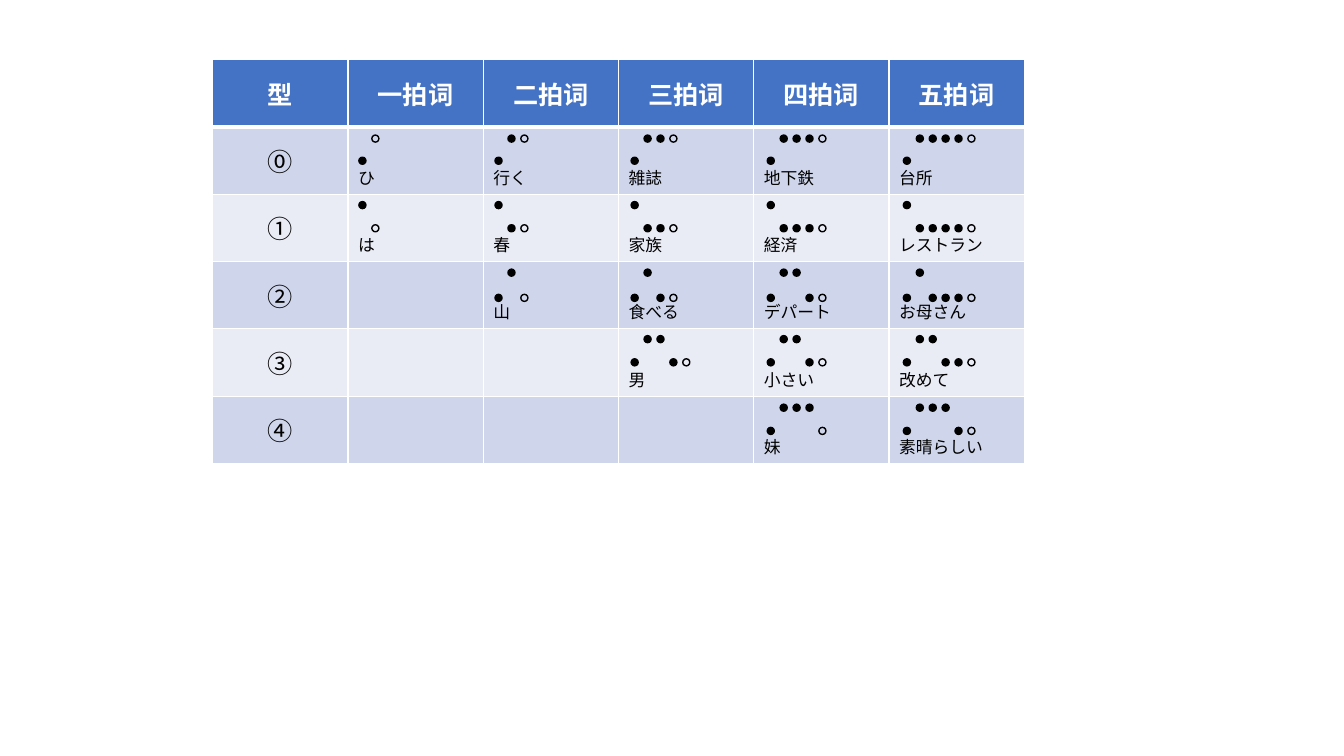
from lxml.etree import SubElement
from pptx import Presentation
from pptx.dml.color import RGBColor
from pptx.enum.shapes import MSO_SHAPE as Shape
from pptx.enum.text import MSO_ANCHOR as Anchor, PP_ALIGN as Align
from pptx.oxml import parse_xml
from pptx.oxml.ns import nsdecls, qn
from pptx.util import Inches, Pt

COLORS = {
    "header": "4472C4",
    "odd": "CFD5EA",
    "even": "E9EBF5",
    "white": "FFFFFF",
    "black": "000000",
}
FONT = "Noto Sans CJK SC"

TABLE_LEFT, TABLE_TOP = 2.11, 0.59
TABLE_WIDTH, TABLE_HEIGHT = 8.05, 4.01
DOT_LEFT, DOT_COLUMN_STEP = 3.56, 1.35
DOT_SIZE, DOT_STEP = 0.07, 0.64 / 5
DOT_LEVELS = [
    {"H": 1.34, "L": 1.56},
    {"H": 2.00, "L": 2.23},
    {"H": 2.67, "L": 2.92},
    {"H": 3.33, "L": 3.56},
    {"H": 4.01, "L": 4.24},
]

HEADERS = ["型", "一拍词", "二拍词", "三拍词", "四拍词", "五拍词"]
ACCENTS = [
    ("⓪", [("ひ", "LH"), ("行く", "LHH"), ("雑誌", "LHHH"),
           ("地下鉄", "LHHHH"), ("台所", "LHHHHH")]),
    ("①", [("は", "HL"), ("春", "HLL"), ("家族", "HLLL"),
           ("経済", "HLLLL"), ("レストラン", "HLLLLL")]),
    ("②", [("", ""), ("山", "LHL"), ("食べる", "LHLL"),
           ("デパート", "LHHLL"), ("お母さん", "LHLLLL")]),
    ("③", [("", ""), ("", ""), ("男", "LHHLL"),
           ("小さい", "LHHLL"), ("改めて", "LHHLLL")]),
    ("④", [("", ""), ("", ""), ("", ""),
           ("妹", "LHHHL"), ("素晴らしい", "LHHHLL")]),
]


def color(name):
    return RGBColor.from_string(COLORS[name])


def write_text(cell, text, size=12, fill="black", bold=False,
               align=Align.LEFT, anchor=Anchor.BOTTOM):
    cell.vertical_anchor = anchor
    paragraph = cell.text_frame.paragraphs[0]
    paragraph.alignment = align
    run = paragraph.add_run()
    run.text = text
    run.font.size = Pt(size)
    run.font.bold = bold
    run.font.color.rgb = color(fill)
    run.font.name = FONT
    SubElement(run._r.get_or_add_rPr(), qn("a:ea"), typeface=FONT)


def paint_cell(cell, fill, top=1, bottom=1):
    cell.fill.solid()
    cell.fill.fore_color.rgb = color(fill)
    properties = cell._tc.get_or_add_tcPr()
    widths = {"lnL": 1, "lnR": 1, "lnT": top, "lnB": bottom}
    for index, (side, width) in enumerate(widths.items()):
        properties.insert(index, parse_xml(
            f'<a:{side} {nsdecls("a")} w="{Pt(width)}"><a:solidFill>'
            f'<a:srgbClr val="{COLORS["white"]}"/></a:solidFill></a:{side}>'))


def add_accent_table(slide):
    frame = slide.shapes.add_table(
        len(ACCENTS) + 1, len(HEADERS), Inches(TABLE_LEFT), Inches(TABLE_TOP),
        Inches(TABLE_WIDTH), Inches(TABLE_HEIGHT))
    table = frame.table
    table.horz_banding = False
    label = {"size": 18, "align": Align.CENTER, "anchor": Anchor.MIDDLE}
    for column, header in enumerate(HEADERS):
        cell = table.cell(0, column)
        paint_cell(cell, "header", bottom=3)
        write_text(cell, header, fill="white", bold=True, **label)
    for row, (accent, words) in enumerate(ACCENTS, start=1):
        for column in range(len(HEADERS)):
            paint_cell(table.cell(row, column), "odd" if row % 2 else "even",
                       top=3 if row == 1 else 1)
        write_text(table.cell(row, 0), accent, **label)
        for column, (word, pitches) in enumerate(words, start=1):
            if word:
                write_text(table.cell(row, column), word)


def add_dot(group, left, top, filled):
    dot = group.shapes.add_shape(Shape.OVAL, Inches(left), Inches(top),
                                 Inches(DOT_SIZE), Inches(DOT_SIZE))
    dot.shadow.inherit = False
    dot.line.color.rgb = color("black")
    dot.line.width = Pt(1)
    if filled:
        dot.fill.solid()
        dot.fill.fore_color.rgb = color("black")
    else:
        dot.fill.background()


def add_pitch_dots(slide, column, levels, pitches):
    group = slide.shapes.add_group_shape()
    left = DOT_LEFT + column * DOT_COLUMN_STEP
    for index, pitch in enumerate(pitches):
        add_dot(group, left + index * DOT_STEP, levels[pitch],
                filled=index < len(pitches) - 1)


def main():
    presentation = Presentation()
    presentation.slide_width = Inches(13.33)
    presentation.slide_height = Inches(7.5)
    slide = presentation.slides.add_slide(presentation.slide_layouts[6])
    add_accent_table(slide)
    for levels, (accent, words) in zip(DOT_LEVELS, ACCENTS):
        for column, (word, pitches) in enumerate(words):
            if pitches:
                add_pitch_dots(slide, column, levels, pitches)
    presentation.save("out.pptx")


if __name__ == "__main__":
    main()
